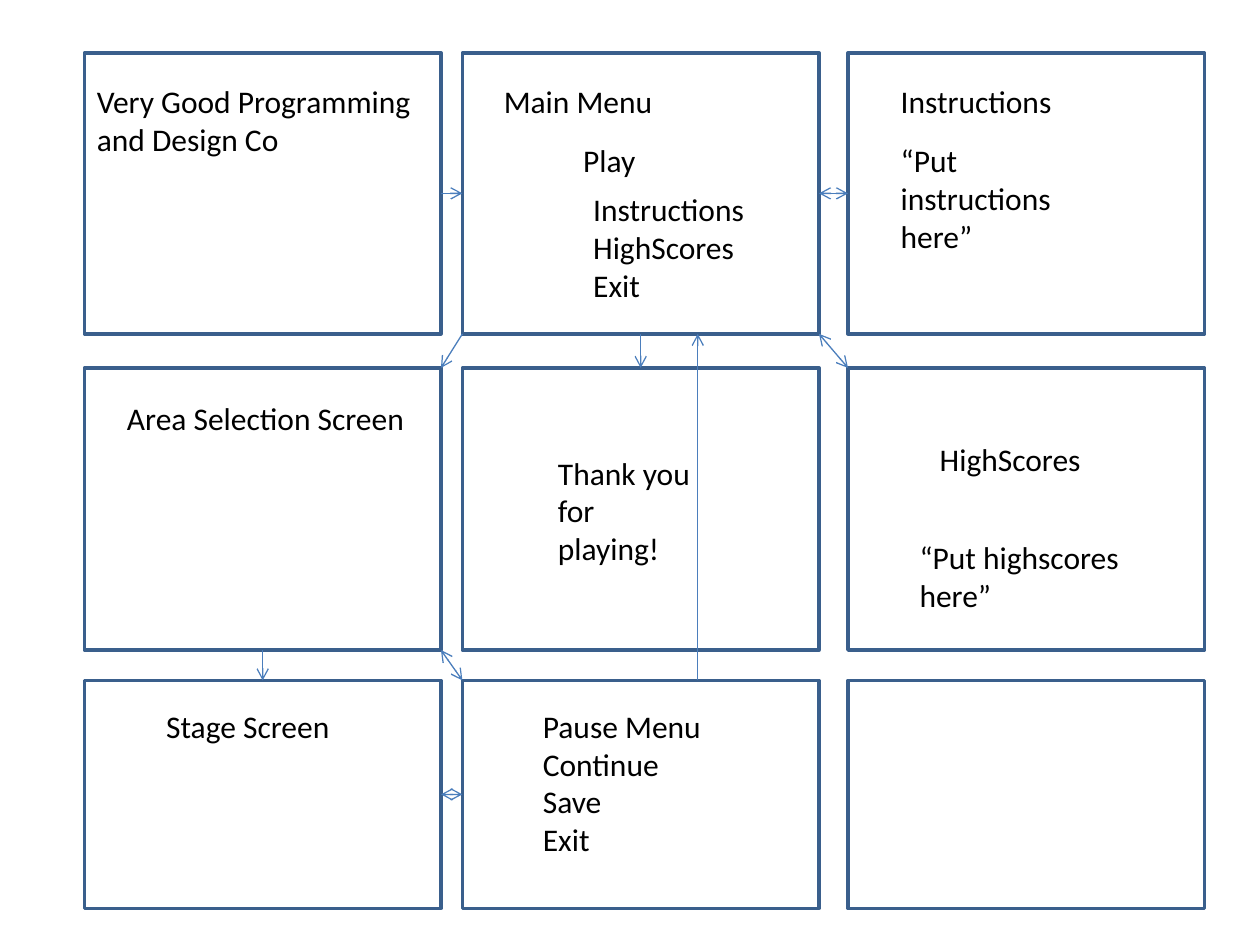
from pptx import Presentation
from pptx.dml.color import RGBColor
from pptx.enum.shapes import MSO_CONNECTOR, MSO_SHAPE
from pptx.oxml.ns import qn
from pptx.util import Inches, Pt
from lxml import etree

RECT = MSO_SHAPE.RECTANGLE
STRAIGHT = MSO_CONNECTOR.STRAIGHT

THEME = {
    "font": "Calibri", "size": Pt(18),
    "text": RGBColor(0x00, 0x00, 0x00),
    "fill": RGBColor(0xFF, 0xFF, 0xFF),
    "border": RGBColor(0x3A, 0x5F, 0x8C), "border_width": Pt(2),
    "arrow": RGBColor(0x4B, 0x7E, 0xBC), "arrow_width": Pt(0.75),
}

# Screen grid: column lefts, and (top, height) of each row
COLUMNS = [0.67, 3.67, 6.73]
ROWS = [(0.42, 2.23), (2.92, 2.24), (5.4, 1.81)]
BOX_WIDTH = 2.83

# Labels: left, top, width, height, paragraphs
LABELS = [
    (0.67, 0.6, 2.83, 0.71, ["Very Good Programming and Design Co"]),
    (3.9, 0.6, 2.2, 0.4, ["Main Menu"]),
    (4.53, 1.07, 1.57, 0.4, ["Play"]),
    (4.61, 1.46, 1.5, 1.01, ["Instructions", "HighScores", "Exit"]),
    (7.05, 0.6, 2.13, 0.4, ["Instructions"]),
    (7.05, 1.07, 1.57, 1.01, ["“Put instructions here”"]),
    (0.91, 3.12, 2.44, 0.4, ["Area Selection Screen"]),
    (4.33, 3.55, 1.34, 1.01, ["Thank you for playing!"]),
    (7.36, 3.44, 1.42, 0.4, ["HighScores"]),
    (7.2, 4.22, 1.97, 0.71, ["“Put highscores here”"]),
    (1.22, 5.56, 1.89, 0.4, ["Stage Screen"]),
    (4.21, 5.56, 1.89, 1.31, ["Pause Menu", "Continue", "Save", "Exit"]),
]

# Arrows: (row, column, x share, y share) at each end, and whether two-way
ARROWS = [
    ((0, 0, 1, 0.5), (0, 1, 0, 0.5), False),    # company -> main menu
    ((0, 1, 1, 0.5), (0, 2, 0, 0.5), True),     # main menu <-> instructions
    ((0, 1, 1, 1), (1, 2, 0, 0), True),         # main menu <-> high scores
    ((0, 1, 0.5, 1), (1, 1, 0.5, 0), False),    # main menu -> thank you
    ((0, 1, 0, 1), (1, 0, 1, 0), False),        # main menu -> area selection
    ((1, 0, 0.5, 1), (2, 0, 0.5, 0), False),    # area selection -> stage
    ((2, 0, 1, 0.5), (2, 1, 0, 0.5), True),     # stage <-> pause menu
    ((1, 0, 1, 1), (2, 1, 0, 0), True),         # area selection <-> pause menu
    ((2, 1, 0.66, 0), (0, 1, 0.66, 1), False),  # pause menu -> main menu
]


def add_box(s, left, top, height):
    box = s.shapes.add_shape(RECT, Inches(left), Inches(top),
                             Inches(BOX_WIDTH), Inches(height))
    box.shadow.inherit = False
    box.fill.solid()
    box.fill.fore_color.rgb = THEME["fill"]
    box.line.color.rgb = THEME["border"]
    box.line.width = THEME["border_width"]


def add_label(s, place, lines, font=THEME["font"], size=THEME["size"],
              color=THEME["text"]):
    tf = s.shapes.add_textbox(*map(Inches, place)).text_frame
    tf.word_wrap = True
    for i, line in enumerate(lines):
        p = tf.paragraphs[0] if i == 0 else tf.add_paragraph()
        r = p.add_run()
        r.text = line
        r.font.name, r.font.size = font, size
        r.font.color.rgb = color


def anchor(row, column, x_share, y_share):
    top, height = ROWS[row]
    return (Inches(COLUMNS[column] + x_share * BOX_WIDTH),
            Inches(top + y_share * height))


def add_arrow(s, start, end, two_way):
    arrow = s.shapes.add_connector(STRAIGHT, *anchor(*start), *anchor(*end))
    arrow.line.color.rgb = THEME["arrow"]
    arrow.line.width = THEME["arrow_width"]
    ln = arrow.line._get_or_add_ln()
    for tag in ["a:headEnd", "a:tailEnd"] if two_way else ["a:tailEnd"]:
        etree.SubElement(ln, qn(tag), type="arrow")
    etree.SubElement(arrow._element.spPr, qn("a:effectLst"))


prs = Presentation()
prs.slide_width, prs.slide_height = Inches(10), Inches(7.5)
s = prs.slides.add_slide(prs.slide_layouts[6])

# Screens
for top, height in ROWS:
    for left in COLUMNS:
        add_box(s, left, top, height)

# Screen text
for *place, lines in LABELS:
    add_label(s, place, lines)

# Navigation
for start, end, two_way in ARROWS:
    add_arrow(s, start, end, two_way)

prs.save("out.pptx")
